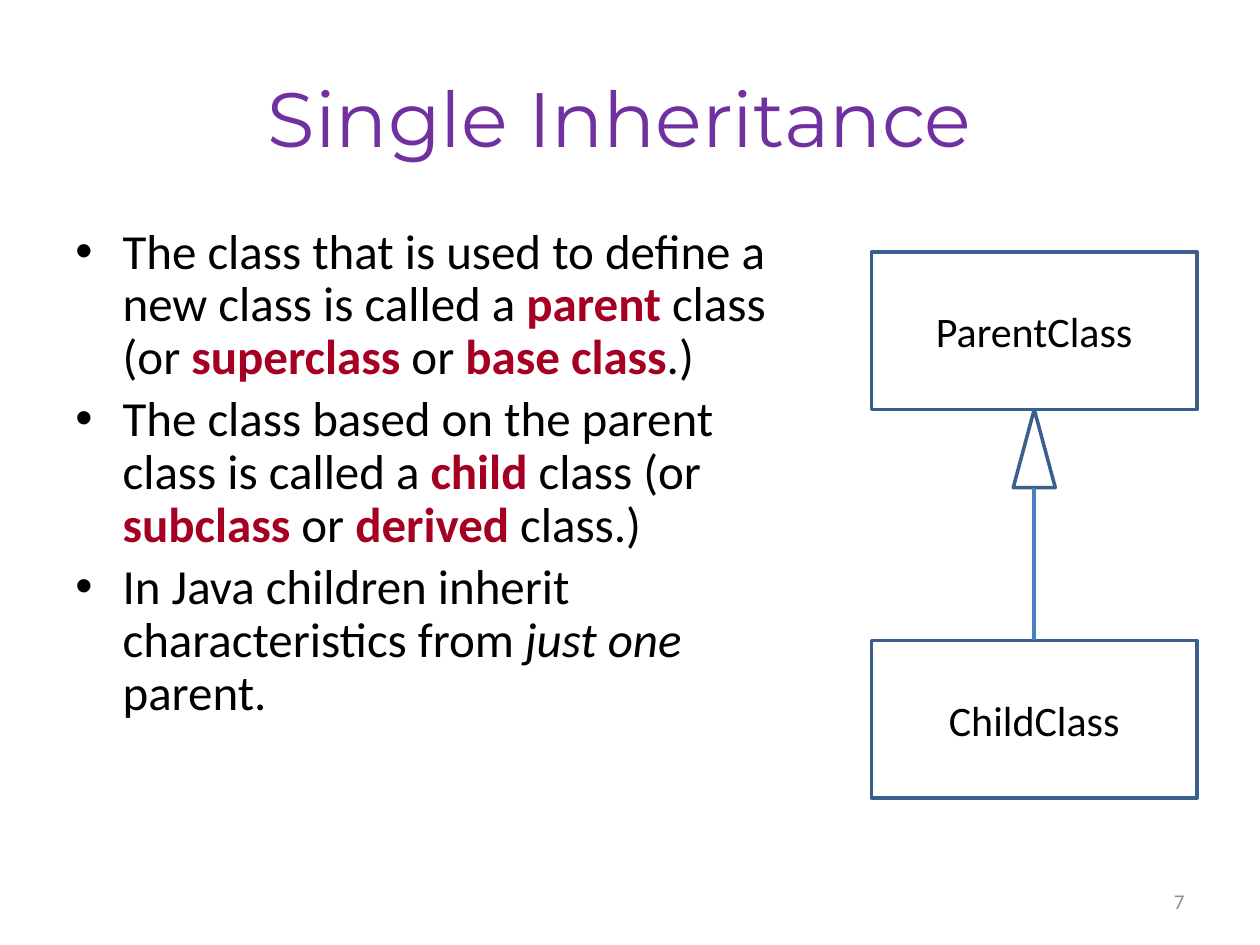
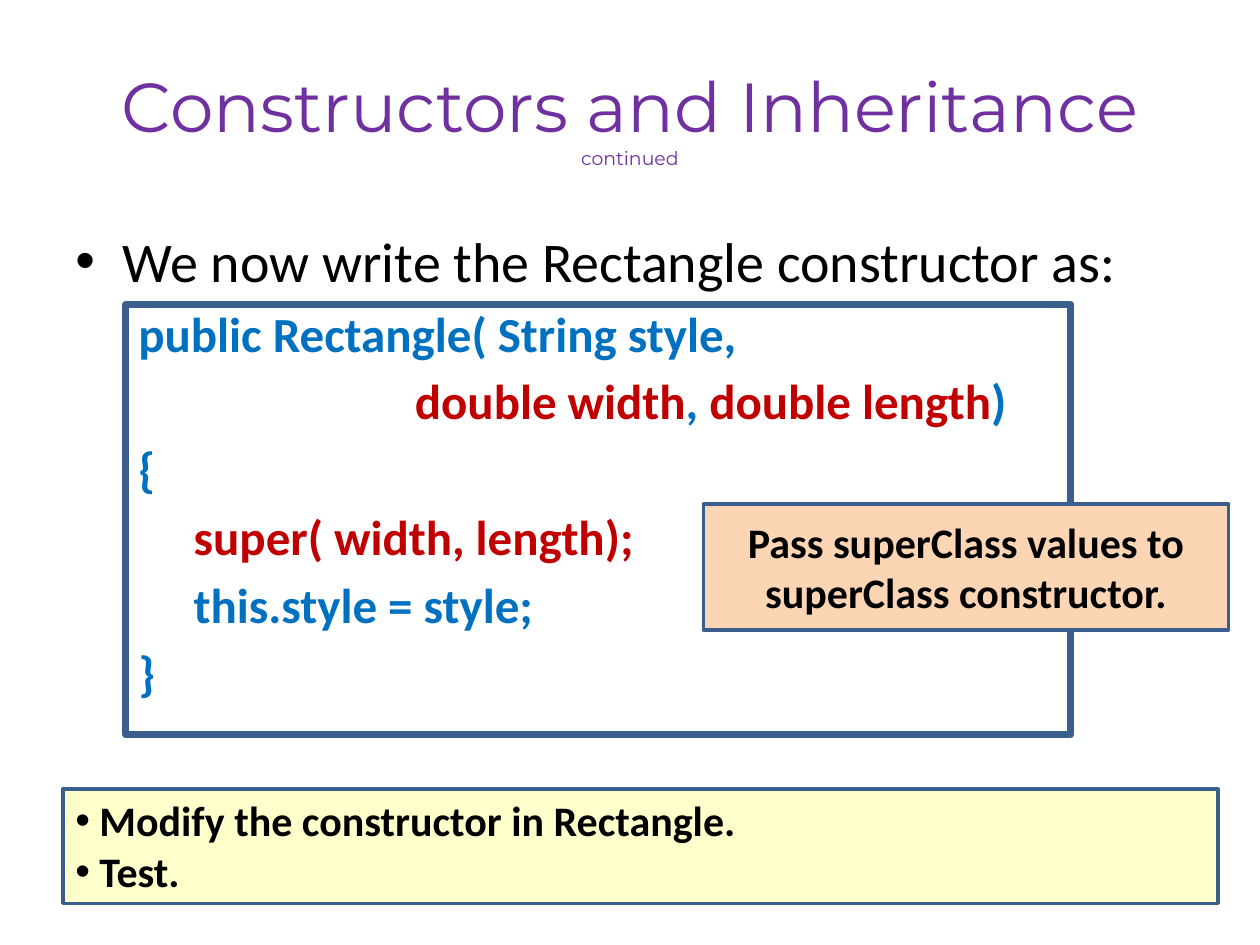
from dataclasses import dataclass
from typing import NamedTuple

from lxml import etree
from pptx import Presentation
from pptx.dml.color import RGBColor
from pptx.enum.shapes import MSO_CONNECTOR, MSO_SHAPE
from pptx.enum.text import MSO_ANCHOR, PP_ALIGN
from pptx.oxml.ns import qn
from pptx.util import Pt

LEFT, CENTER, RIGHT = PP_ALIGN.LEFT, PP_ALIGN.CENTER, PP_ALIGN.RIGHT
TOP, MIDDLE = MSO_ANCHOR.TOP, MSO_ANCHOR.MIDDLE
RECTANGLE, TRIANGLE = MSO_SHAPE.RECTANGLE, MSO_SHAPE.ISOSCELES_TRIANGLE
STRAIGHT = MSO_CONNECTOR.STRAIGHT

BLACK = RGBColor(0x00, 0x00, 0x00)
PURPLE = RGBColor(0x70, 0x30, 0xA0)
CRIMSON = RGBColor(0xA5, 0x00, 0x21)
CODE_BLUE = RGBColor(0x00, 0x70, 0xC0)
CODE_RED = RGBColor(0xC0, 0x00, 0x00)
OUTLINE = RGBColor(0x3A, 0x5F, 0x8C)
ARROW_BLUE = RGBColor(0x4B, 0x7E, 0xBC)
PALE_YELLOW = RGBColor(0xFF, 0xFF, 0xCC)
PEACH = RGBColor(0xFC, 0xD5, 0xB5)
GRAY = RGBColor(0x8C, 0x8C, 0x8C)

TITLE_FONT, BODY_FONT = "Montserrat", "Calibri"
BULLET_INDENT, CODE_INDENT = 27, 36
PARAGRAPH_GAP = 5.2


class Area(NamedTuple):
    left: float
    top: float
    width: float
    height: float

    def lengths(self) -> list:
        return [Pt(value) for value in self]


class Run(NamedTuple):
    text: str
    color: RGBColor | None = None
    bold: bool | None = None
    italic: bool = False
    size: float | None = None


@dataclass
class Line:
    """One paragraph: its runs, left indent and whether a bullet hangs in it."""
    runs: list[Run]
    indent: float = 0
    bullet: bool = False
    size: float | None = None


TITLE_AREA = Area(36, 21.6, 648, 90)
NUMBER_AREA = Area(516, 500.4, 168, 28.8)


def add_bullet(paragraph) -> None:
    properties = paragraph._p.get_or_add_pPr()
    etree.SubElement(properties, qn("a:buFont"), typeface="Arial")
    etree.SubElement(properties, qn("a:buChar"), char="•")


def write_text(shape, lines: list[Line], *, size: float, font: str = BODY_FONT,
               color: RGBColor = BLACK, bold: bool = False, align=LEFT,
               anchor=TOP, spacing: float = 1.0, gap: float = 0) -> None:
    frame = shape.text_frame
    frame.word_wrap = True
    frame.vertical_anchor = anchor
    for index, line in enumerate(lines):
        paragraph = frame.add_paragraph() if index else frame.paragraphs[0]
        paragraph.alignment = align
        paragraph.line_spacing = spacing
        paragraph.space_before = Pt(gap)
        properties = paragraph._p.get_or_add_pPr()
        properties.set("marL", str(Pt(line.indent)))
        properties.set("indent", str(Pt(-line.indent if line.bullet else 0)))
        if line.bullet:
            add_bullet(paragraph)
        for part in line.runs:
            run = paragraph.add_run()
            run.text = part.text
            run.font.name = font
            run.font.size = Pt(part.size or line.size or size)
            run.font.bold = bold if part.bold is None else part.bold
            run.font.italic = part.italic
            run.font.color.rgb = part.color or color


def add_text(slide, area: Area, lines: list[Line], **text_format) -> None:
    write_text(slide.shapes.add_textbox(*area.lengths()), lines, **text_format)


def add_title(slide, runs: list[Run], size: float) -> None:
    add_text(slide, TITLE_AREA, [Line(runs)], size=size, font=TITLE_FONT,
             color=PURPLE, align=CENTER, anchor=MIDDLE)


def add_outlined_shape(slide, kind, area: Area, *, fill: RGBColor | None = None,
                       line_width: float = 2):
    shape = slide.shapes.add_shape(kind, *area.lengths())
    shape.shadow.inherit = False
    if fill is None:
        shape.fill.background()
    else:
        shape.fill.solid()
        shape.fill.fore_color.rgb = fill
    shape.line.color.rgb = OUTLINE
    shape.line.width = Pt(line_width)
    return shape


def add_class_box(slide, name: str, area: Area):
    box = add_outlined_shape(slide, RECTANGLE, area)
    write_text(box, [Line([Run(name)])], size=24, align=CENTER, anchor=MIDDLE)
    return box


def add_inheritance_diagram(slide) -> None:
    parent = Area(498, 144, 186, 90)
    child = parent._replace(top=366)
    middle = parent.left + parent.width / 2
    arrowhead = Area(middle - 12, parent.top + parent.height, 24, 44.6)

    add_class_box(slide, "ParentClass", parent)
    child_box = add_class_box(slide, "ChildClass", child)
    add_outlined_shape(slide, TRIANGLE, arrowhead)

    stem = slide.shapes.add_connector(
        STRAIGHT, Pt(middle), Pt(arrowhead.top + arrowhead.height),
        Pt(middle), Pt(child.top))
    stem.end_connect(child_box, 0)
    stem.line.color.rgb = ARROW_BLUE
    stem.line.width = Pt(2)
    etree.SubElement(stem._element.spPr, qn("a:effectLst"))


def term(text: str) -> Run:
    return Run(text, CRIMSON, bold=True)


def code(*runs: Run, spaces: int = 0) -> Line:
    """A code line, indented by the width of the given number of spaces."""
    space_width = 6.32
    return Line(list(runs), CODE_INDENT + spaces * space_width)


def build_single_inheritance(slide) -> None:
    add_title(slide, [Run("Single Inheritance ")], 44)
    definitions = [
        [Run("The class that is used to define a new class is called a "),
         term("parent"), Run(" class (or "), term("superclass"), Run(" or "),
         term("base class"), Run(".)")],
        [Run("The class based on the parent class is called a "),
         term("child"), Run(" class (or "), term("subclass"), Run(" or "),
         term("derived"), Run(" class.)")],
        [Run("In Java children inherit characteristics from "),
         Run("just one", italic=True), Run(" parent.")],
    ]
    add_text(slide, Area(36, 126, 438, 356.4),
             [Line(runs, BULLET_INDENT, bullet=True) for runs in definitions],
             size=28, spacing=0.9, gap=PARAGRAPH_GAP)
    add_text(slide, NUMBER_AREA, [Line([Run("7")])], size=12, color=GRAY,
             align=RIGHT, anchor=MIDDLE)
    add_inheritance_diagram(slide)


def build_constructors(slide) -> None:
    add_title(slide, [Run("Constructors and Inheritance "),
                      Run("continued", size=10.8)], 39.6)
    introduction = Run("We now write the Rectangle constructor as:", BLACK,
                       bold=False)
    add_text(slide, Area(36, 126, 666, 356.4), [
        Line([introduction], BULLET_INDENT, bullet=True, size=32),
        code(Run("public Rectangle( String style,")),
        code(Run("double width", CODE_RED), Run(", "),
             Run("double length", CODE_RED), Run(")"), spaces=25),
        code(Run("{")),
        code(Run("super( width, length);", CODE_RED), spaces=5),
        code(Run("this.style = style;"), spaces=5),
        code(Run("}")),
    ], size=28, color=CODE_BLUE, bold=True, gap=PARAGRAPH_GAP)

    tasks = add_outlined_shape(slide, RECTANGLE, Area(36, 450.7, 660, 65.5),
                               fill=PALE_YELLOW)
    write_text(tasks, [Line([Run(task)], 13.7, bullet=True) for task in
                       ("Modify the constructor in Rectangle.", "Test.")],
               size=24, bold=True)

    add_outlined_shape(slide, RECTANGLE, Area(72, 174, 540, 246), line_width=4)
    callout = add_outlined_shape(slide, RECTANGLE, Area(402, 288, 300, 72),
                                 fill=PEACH)
    write_text(callout,
               [Line([Run("Pass superClass values to superClass constructor.")])],
               size=24, bold=True, align=CENTER, anchor=MIDDLE)


def main() -> None:
    presentation = Presentation()
    presentation.slide_width, presentation.slide_height = Pt(720), Pt(540)
    blank = presentation.slide_layouts[6]
    for build in (build_single_inheritance, build_constructors):
        build(presentation.slides.add_slide(blank))
    presentation.save("out.pptx")


if __name__ == "__main__":
    main()
